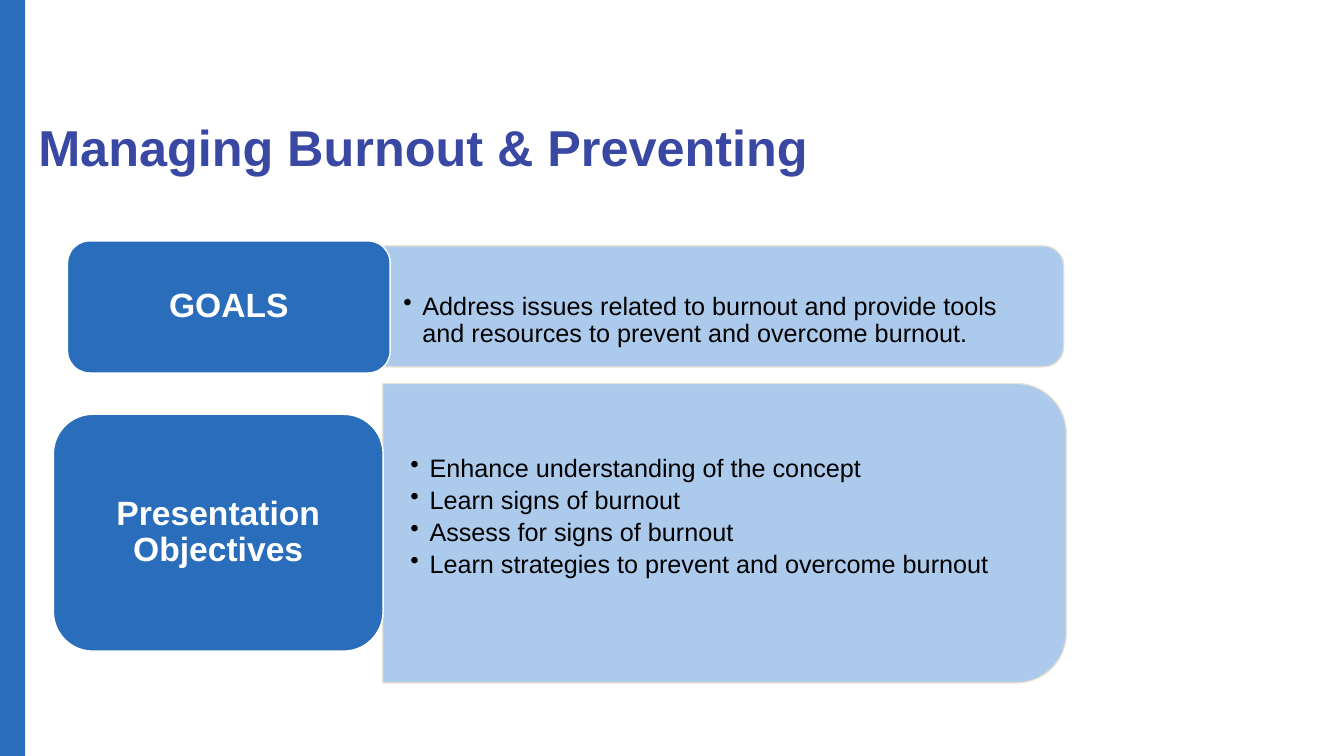
import dataclasses
import typing

import lxml.etree
import pptx
import pptx.dml.color
import pptx.enum.shapes
import pptx.enum.text
import pptx.oxml.ns
import pptx.util

Inches = pptx.util.Inches
Pt = pptx.util.Pt
SHAPE = pptx.enum.shapes.MSO_SHAPE
ALIGN = pptx.enum.text.PP_ALIGN
ANCHOR = pptx.enum.text.MSO_ANCHOR
COLORS = {
    "blue": "2A6EBB",
    "pale": "A3C5EA",
    "edge": "E6E1D4",
    "title": "3848A3",
    "white": "FFFFFF",
    "black": "000000",
}
FRAME = {
    "word_wrap": True,
    "auto_size": pptx.enum.text.MSO_AUTO_SIZE.NONE,
    "vertical_anchor": ANCHOR.MIDDLE,
}
Box = tuple[float, float, float, float]


@dataclasses.dataclass(frozen=True)
class Row:
    label: str
    points: tuple[str, ...]
    card: Box
    panel: Box
    body: Box
    top: float
    bottom: float


ROWS = (
    Row(
        "GOALS",
        ("Address issues related to burnout and provide tools "
         "and resources to prevent and overcome burnout.",),
        (0.67, 2.39, 3.2, 1.31),
        (6.54, -0.37, 1.2, 6.82),
        (3.73, 2.5, 6.76, 1.09),
        0.42, 0.14,
    ),
    Row(
        "Presentation Objectives",
        ("Enhance understanding of the concept",
         "Learn signs of burnout",
         "Assess for signs of burnout",
         "Learn strategies to prevent and overcome burnout"),
        (0.53, 4.11, 3.27, 2.35),
        (5.7, 1.9, 2.97, 6.78),
        (3.8, 3.95, 6.64, 2.68),
        0.14, 0.46,
    ),
)


def apply(target: typing.Any, values: dict[str, typing.Any]) -> None:
    for name, value in values.items():
        setattr(target, name, value)


def place(box: Box) -> list[int]:
    return [Inches(side) for side in box]


def tint(name: str) -> pptx.dml.color.RGBColor:
    return pptx.dml.color.RGBColor.from_string(COLORS[name])


def write(frame: typing.Any, lines: tuple[str, ...], size: float, color: str,
          bold: bool, align: typing.Any, after: float = 0) -> None:
    apply(frame, FRAME)
    frame.text = "\n".join(lines)
    for para in frame.paragraphs:
        apply(para, {"alignment": align, "line_spacing": 0.9,
                     "space_before": Pt(0), "space_after": Pt(after)})
        font = para.runs[0].font
        apply(font, {"name": "Arial", "size": Pt(size), "bold": bold})
        font.color.rgb = tint(color)


def draw(slide: typing.Any, kind: typing.Any, box: Box, fill: str,
         line: str | None = None) -> typing.Any:
    shape = slide.shapes.add_shape(kind, *place(box))
    shape.shadow.inherit = False
    shape.fill.solid()
    shape.fill.fore_color.rgb = tint(fill)
    if line:
        shape.line.color.rgb = tint(line)
        shape.line.width = Pt(1)
    else:
        shape.line.fill.background()
    return shape


def fade(shape: typing.Any, share: int) -> None:
    for color in list(shape.element.spPr.iter(pptx.oxml.ns.qn("a:srgbClr"))):
        alpha = lxml.etree.SubElement(color, pptx.oxml.ns.qn("a:alpha"))
        alpha.set("val", str(share * 1000))


def dot(para: typing.Any) -> None:
    props = para._p.get_or_add_pPr()
    props.set("marL", str(Inches(0.19)))
    props.set("indent", str(Inches(-0.19)))
    mark = lxml.etree.SubElement(props, pptx.oxml.ns.qn("a:buChar"))
    mark.set("char", "•")


def add_row(slide: typing.Any, row: Row) -> None:
    panel = draw(slide, SHAPE.ROUND_2_SAME_RECTANGLE, row.panel, "pale", "edge")
    panel.rotation = 90
    fade(panel, 90)
    body = slide.shapes.add_textbox(*place(row.body)).text_frame
    apply(body, {"margin_left": Inches(0.27), "margin_right": Inches(0.27),
                 "margin_top": Inches(row.top),
                 "margin_bottom": Inches(row.bottom)})
    write(body, row.points, 18, "black", False, ALIGN.LEFT, 3.5)
    for para in body.paragraphs:
        dot(para)
    card = draw(slide, SHAPE.ROUNDED_RECTANGLE, row.card, "blue", "white")
    write(card.text_frame, (row.label,), 24, "white", True, ALIGN.CENTER)


def main() -> None:
    deck = pptx.Presentation()
    apply(deck, {"slide_width": Inches(13.33), "slide_height": Inches(7.5)})
    slide = deck.slides.add_slide(deck.slide_layouts[5])
    draw(slide, SHAPE.RECTANGLE, (0, 0, 0.25, 7.5), "blue")
    title = slide.shapes.title
    sides = ("left", "top", "width", "height")
    apply(title, dict(zip(sides, place((0.28, 0.74, 10.82, 1.51)))))
    write(title.text_frame, ("Managing Burnout & Preventing",), 36, "title",
          True, ALIGN.LEFT)
    for row in ROWS:
        add_row(slide, row)
    deck.save("out.pptx")


if __name__ == "__main__":
    main()
